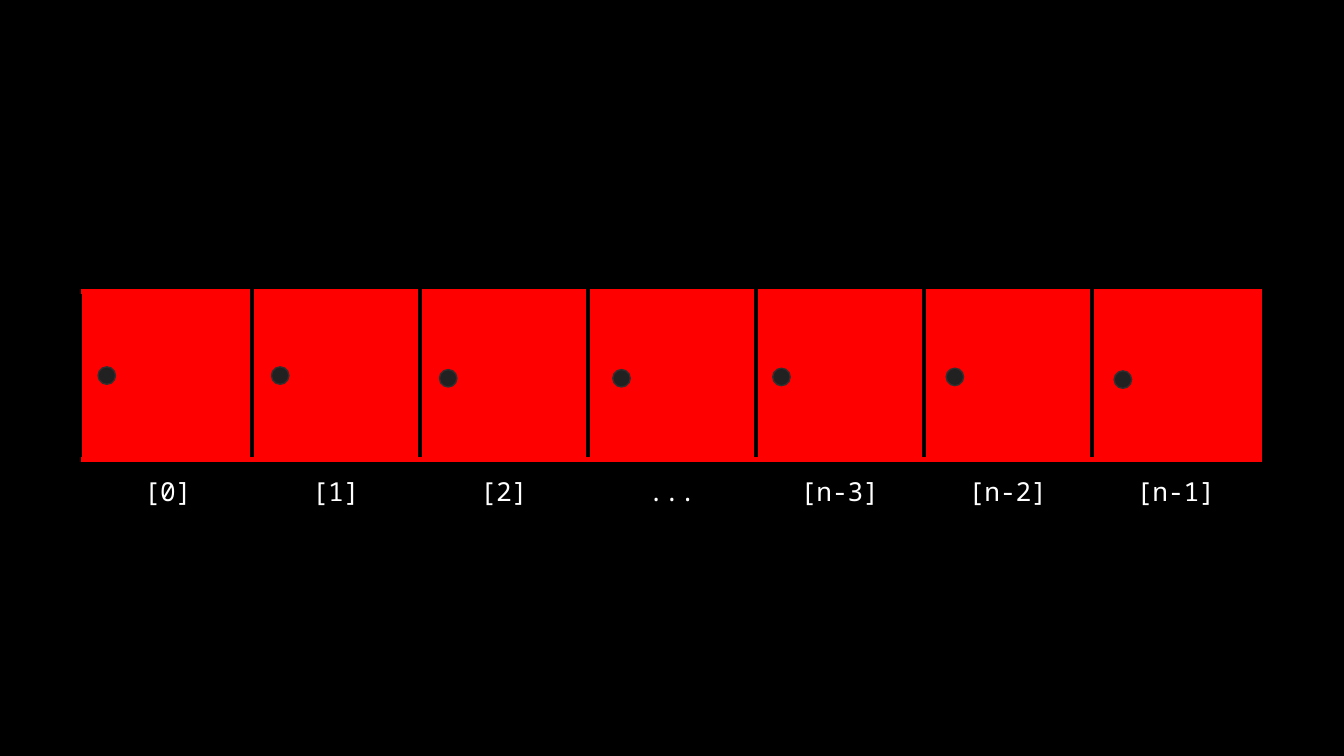
from lxml import etree
from pptx import Presentation
from pptx.dml.color import RGBColor
from pptx.enum.shapes import MSO_SHAPE
from pptx.enum.text import PP_ALIGN
from pptx.oxml.ns import qn
from pptx.util import Inches, Pt

ELLIPSE = MSO_SHAPE.OVAL
CENTER = PP_ALIGN.CENTER
NO_STYLE = "{2D5ABB26-0587-4C30-8999-92F81FD0307C}"
RED, BLACK, WHITE = "FF0000", "000000", "FFFFFF"
LABELS = ["[0]", "[1]", "[2]", "...", "[n-3]", "[n-2]", "[n-1]"]
DOTS = [(0.73, 2.73), (2.02, 2.73), (3.27, 2.75), (4.56, 2.75),
        (5.75, 2.74), (7.04, 2.74), (8.29, 2.76)]
WIDTH = 10
CELL, DOT = 1.25, 0.13
ROWS, COLUMNS = 5, len(LABELS) + 2
ARRAY_ROW, LABEL_ROW = 2, 3


def write_text(cell, text, size=14, font="Noto Sans Mono", color=WHITE):
    paragraph = cell.text_frame.paragraphs[0]
    paragraph.alignment = CENTER
    run = paragraph.add_run()
    run.text = text
    run.font.size = Pt(size)
    run.font.name = font
    run.font.color.rgb = RGBColor.from_string(color)


def set_borders(cell, **colors):
    properties = cell._tc.get_or_add_tcPr()
    for position, side in enumerate("LRTB"):
        line = etree.Element(qn(f"a:ln{side}"), w=str(Pt(3)))
        if side in colors:
            fill = etree.SubElement(line, qn("a:solidFill"))
            etree.SubElement(fill, qn("a:srgbClr"), val=colors[side])
        else:
            etree.SubElement(line, qn("a:noFill"))
        properties.insert(position, line)


# Widescreen 16:9 slide
presentation = Presentation()
presentation.slide_width = Inches(WIDTH)
presentation.slide_height = Inches(WIDTH * 9 / 16)
slide = presentation.slides.add_slide(presentation.slide_layouts[6])
slide.background.fill.solid()
slide.background.fill.fore_color.rgb = RGBColor.from_string(BLACK)

# Grid that runs past the slide edges, centred across the slide
table = slide.shapes.add_table(
    ROWS, COLUMNS, Inches((WIDTH - CELL * COLUMNS) / 2), Inches(-0.33),
    Inches(CELL * COLUMNS), Inches(CELL * ROWS)).table
table.first_row = False
table.horz_banding = False
table._tbl.tblPr.find(qn("a:tableStyleId")).text = NO_STYLE

# Red array cells with a black line between neighbours
last = len(LABELS)
for row in range(ROWS):
    for column in range(COLUMNS):
        cell = table.cell(row, column)
        cell.margin_left = cell.margin_right = Inches(0.1)
        cell.margin_top = cell.margin_bottom = Inches(0.1)
        cell.fill.background()
        borders = {}
        if 1 <= column <= last:
            if row == ARRAY_ROW - 1:
                borders = {"B": RED}
            elif row == ARRAY_ROW:
                cell.fill.solid()
                cell.fill.fore_color.rgb = RGBColor.from_string(RED)
                borders = {"L": RED if column == 1 else BLACK,
                           "R": RED if column == last else BLACK,
                           "T": RED, "B": RED}
            elif row == LABEL_ROW:
                borders = {"T": RED}
                write_text(cell, LABELS[column - 1])
        elif row == ARRAY_ROW:
            borders = {"R": RED} if column == 0 else {"L": RED}
        set_borders(cell, **borders)

# Door knobs
for left, top in DOTS:
    knob = slide.shapes.add_shape(
        ELLIPSE, Inches(left), Inches(top), Inches(DOT), Inches(DOT))
    knob.shadow.inherit = False
    knob.fill.solid()
    knob.fill.fore_color.rgb = RGBColor.from_string("212121")
    knob.line.color.rgb = RGBColor.from_string("303030")
    knob.line.width = Pt(0.75)

presentation.save("out.pptx")
